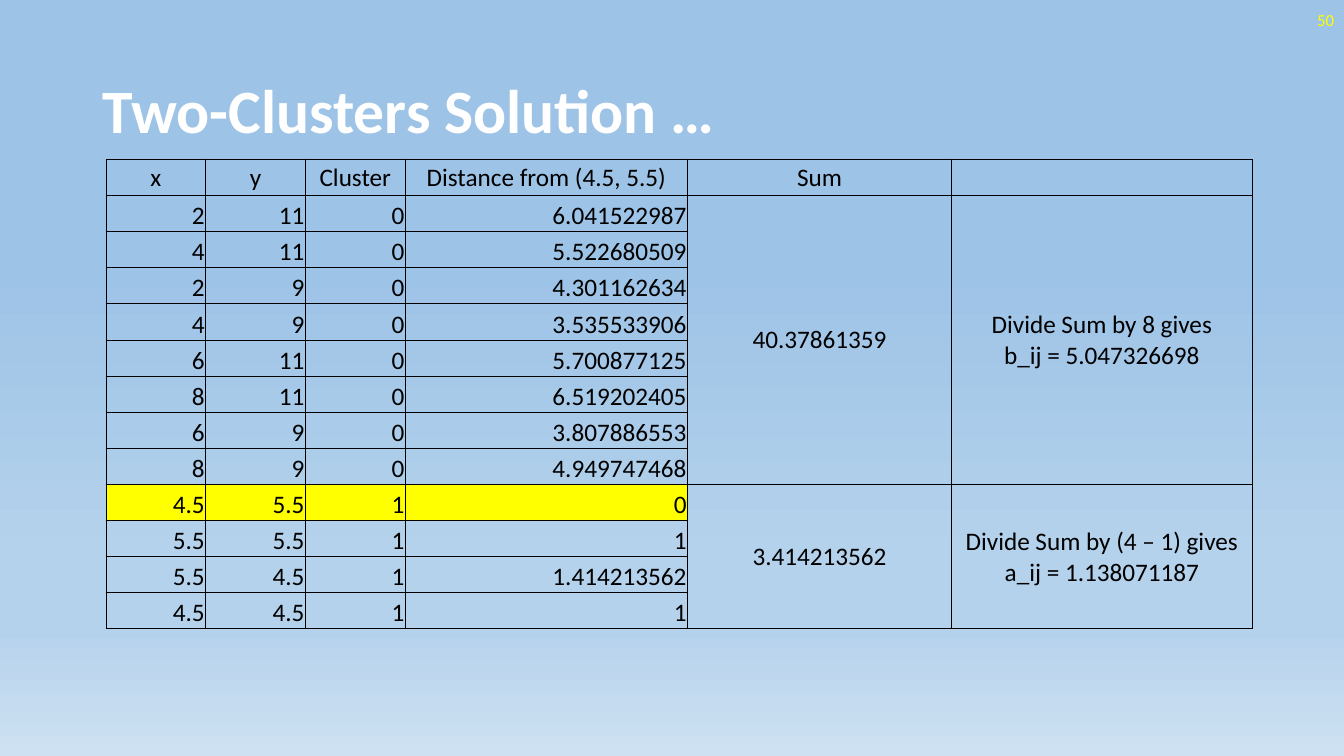
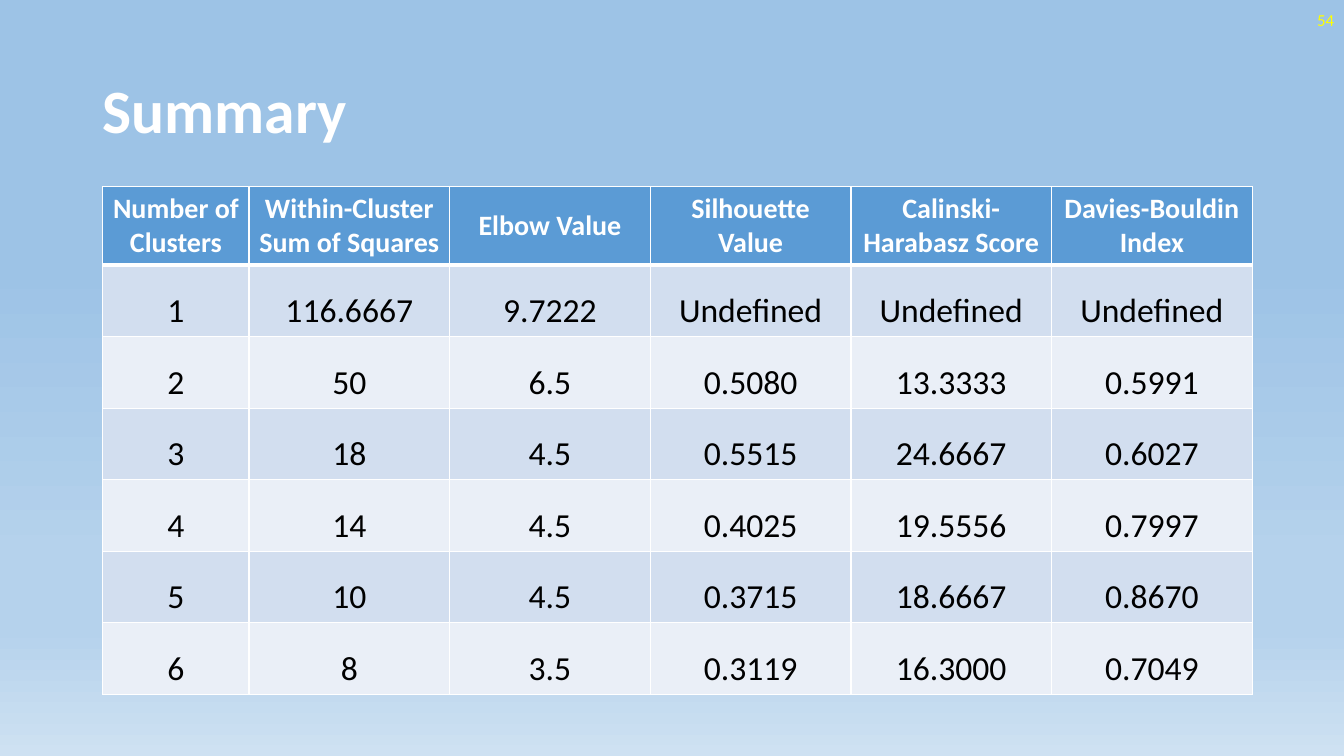
from copy import deepcopy

from lxml import etree
from pptx import Presentation
from pptx.dml.color import RGBColor
from pptx.enum.text import MSO_ANCHOR, PP_ALIGN
from pptx.oxml.ns import qn
from pptx.util import Inches, Pt

LEFT, CENTER, RIGHT = PP_ALIGN.LEFT, PP_ALIGN.CENTER, PP_ALIGN.RIGHT
MIDDLE, BOTTOM = MSO_ANCHOR.MIDDLE, MSO_ANCHOR.BOTTOM

WHITE, BLACK, YELLOW = "FFFFFF", "000000", "FFFF00"
HEAD, BANDS = "5B9BD5", ("D2DEEF", "EAEFF7")
SKY = ((35, "9DC3E6"), (74, "B5D2EC"), (83, "B5D2EC"), (100, "CEE1F2"))
FONT = "Calibri"


def color(code):
    return RGBColor.from_string(code)


class Deck:
    """Holds the shared style and the current slide."""

    def __init__(self):
        self.prs = Presentation()
        self.prs.slide_width = Inches(13.33)
        self.prs.slide_height = Inches(7.5)
        self.slide = None

    def start(self, title, number):
        """Add a slide with its background, title and number."""
        self.slide = self.prs.slides.add_slide(self.prs.slide_layouts[6])
        self.paint()
        self.label(title, (0.92, 0.4, 11.5, 1.45), 44, WHITE, LEFT, bold=True, space=0.9)
        self.label(number, (10.33, 0, 3, 0.4), 12, YELLOW, RIGHT)

    def paint(self):
        """Fill the background with the sky gradient, top to bottom."""
        fill = self.slide.background.fill
        fill.gradient()
        fill.gradient_angle = 270
        stops = self.slide.element.find(".//" + qn("a:gsLst"))
        model = deepcopy(stops[0])
        for stop in list(stops):
            stops.remove(stop)
        for _ in SKY:
            stops.append(deepcopy(model))
        for stop, (place, code) in zip(fill.gradient_stops, SKY):
            stop.position = place / 100
            stop.color.rgb = color(code)

    def text(self, frame, words, size, code, align, bold=False, space=None):
        """Put words into a text frame, one paragraph a line."""
        frame.text = words
        for para in frame.paragraphs:
            para.alignment = align
            if space:
                para.line_spacing = space
            font = para.font
            font.name, font.size, font.bold = FONT, Pt(size), bold
            font.color.rgb = color(code)

    def label(self, words, spot, size, code, align, **look):
        box = self.slide.shapes.add_textbox(*map(Inches, spot))
        frame = box.text_frame
        frame.word_wrap = True
        frame.vertical_anchor = MIDDLE
        self.text(frame, words, size, code, align, **look)

    def grid(self, left, top, widths, heights):
        """Add a plain table with the given column widths and row heights."""
        frame = self.slide.shapes.add_table(
            len(heights), len(widths), Inches(left), Inches(top),
            Inches(sum(widths)), Inches(sum(heights)))
        table = frame.table
        table.first_row = table.horz_banding = False
        for col, width in zip(table.columns, widths):
            col.width = Inches(width)
        for row, height in zip(table.rows, heights):
            row.height = Inches(height)
        return table

    def cell(self, cell, words, size, code, align, anchor=MIDDLE, fill=None, **look):
        cell.vertical_anchor = anchor
        if fill:
            cell.fill.solid()
            cell.fill.fore_color.rgb = color(fill)
        else:
            cell.fill.background()
        self.text(cell.text_frame, words, size, code, align, **look)

    def edge(self, cell, code, left=1, right=1, top=1, bottom=1):
        """Draw the four borders of a cell; call before filling it."""
        props = cell._tc.get_or_add_tcPr()
        for side, width in zip("LRTB", (left, right, top, bottom)):
            line = etree.SubElement(props, qn("a:ln" + side), w=str(Pt(width)))
            solid = etree.SubElement(line, qn("a:solidFill"))
            etree.SubElement(solid, qn("a:srgbClr"), val=code)


def solve(deck):
    """Distances of all points from one point, summed by cluster."""
    deck.start("Two-Clusters Solution …", "50")
    rows = [
        ("x", "y", "Cluster", "Distance from (4.5, 5.5)", "Sum", ""),
        ("2", "11", "0", "6.041522987", "40.37861359",
         "Divide Sum by 8 gives\nb_ij = 5.047326698"),
        ("4", "11", "0", "5.522680509"),
        ("2", "9", "0", "4.301162634"),
        ("4", "9", "0", "3.535533906"),
        ("6", "11", "0", "5.700877125"),
        ("8", "11", "0", "6.519202405"),
        ("6", "9", "0", "3.807886553"),
        ("8", "9", "0", "4.949747468"),
        ("4.5", "5.5", "1", "0", "3.414213562",
         "Divide Sum by (4 – 1) gives\na_ij = 1.138071187"),
        ("5.5", "5.5", "1", "1"),
        ("5.5", "4.5", "1", "1.414213562"),
        ("4.5", "4.5", "1", "1"),
    ]
    origin = 9
    table = deck.grid(1.05, 1.58, [0.99] * 3 + [2.8, 2.62, 2.98],
                      [4.66 / len(rows)] * len(rows))
    for first, last in ((1, origin - 1), (origin, len(rows) - 1)):
        for c in (4, 5):
            table.cell(first, c).merge(table.cell(last, c))
    for r, row in enumerate(rows):
        for c in range(6):
            cell = table.cell(r, c)
            deck.edge(cell, BLACK, 0.5, 0.5, 0.5, 0.5)
            cell.margin_left = cell.margin_right = cell.margin_top = Inches(0.01)
            cell.margin_bottom = 0
            if c < len(row):
                point = r > 0 and c < 4
                deck.cell(cell, row[c], 18, BLACK, RIGHT if point else CENTER,
                          BOTTOM if point else MIDDLE,
                          YELLOW if point and r == origin else None)


def sum_up(deck):
    """Scores for each number of clusters."""
    deck.start("Summary", "54")
    rows = [
        ("Number of Clusters", "Within-Cluster Sum of Squares", "Elbow Value",
         "Silhouette Value", "Calinski-Harabasz Score", "Davies-Bouldin Index"),
        ("1", "116.6667", "9.7222", "Undefined", "Undefined", "Undefined"),
        ("2", "50", "6.5", "0.5080", "13.3333", "0.5991"),
        ("3", "18", "4.5", "0.5515", "24.6667", "0.6027"),
        ("4", "14", "4.5", "0.4025", "19.5556", "0.7997"),
        ("5", "10", "4.5", "0.3715", "18.6667", "0.8670"),
        ("6", "8", "3.5", "0.3119", "16.3000", "0.7049"),
    ]
    table = deck.grid(1.02, 1.85, [1.45] + [1.99] * 5, [0.78] + [0.71] * 6)
    for r, row in enumerate(rows):
        for c, words in enumerate(row):
            cell = table.cell(r, c)
            deck.edge(cell, WHITE, top=3 if r == 1 else 1, bottom=3 if r == 0 else 1)
            if r == 0:
                deck.cell(cell, words, 20, WHITE, CENTER, fill=HEAD, bold=True)
            else:
                deck.cell(cell, words, 24, BLACK, CENTER,
                          fill=BANDS[(r - 1) % 2], space=1.5)


def main():
    deck = Deck()
    solve(deck)
    sum_up(deck)
    deck.prs.save("out.pptx")


if __name__ == "__main__":
    main()
